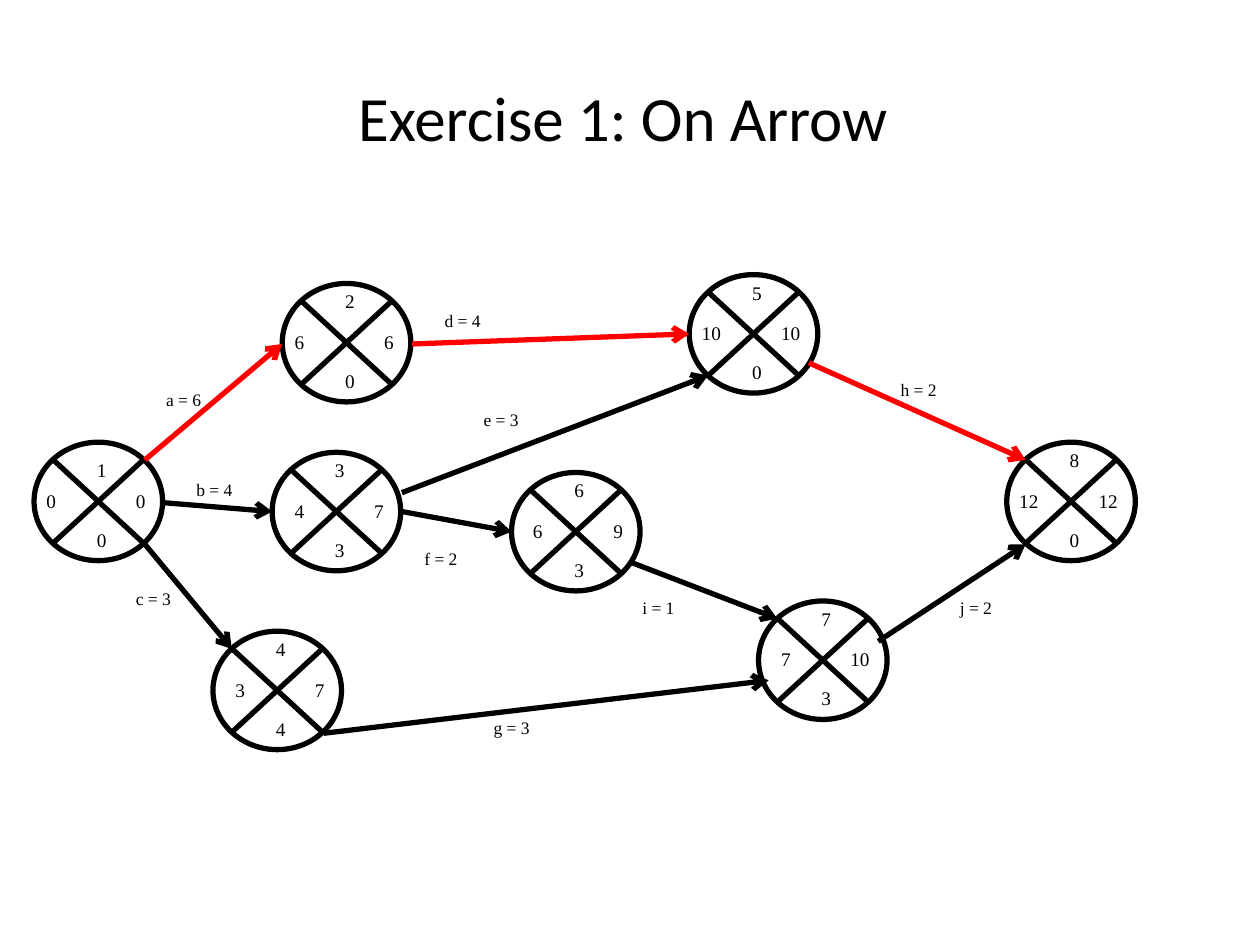
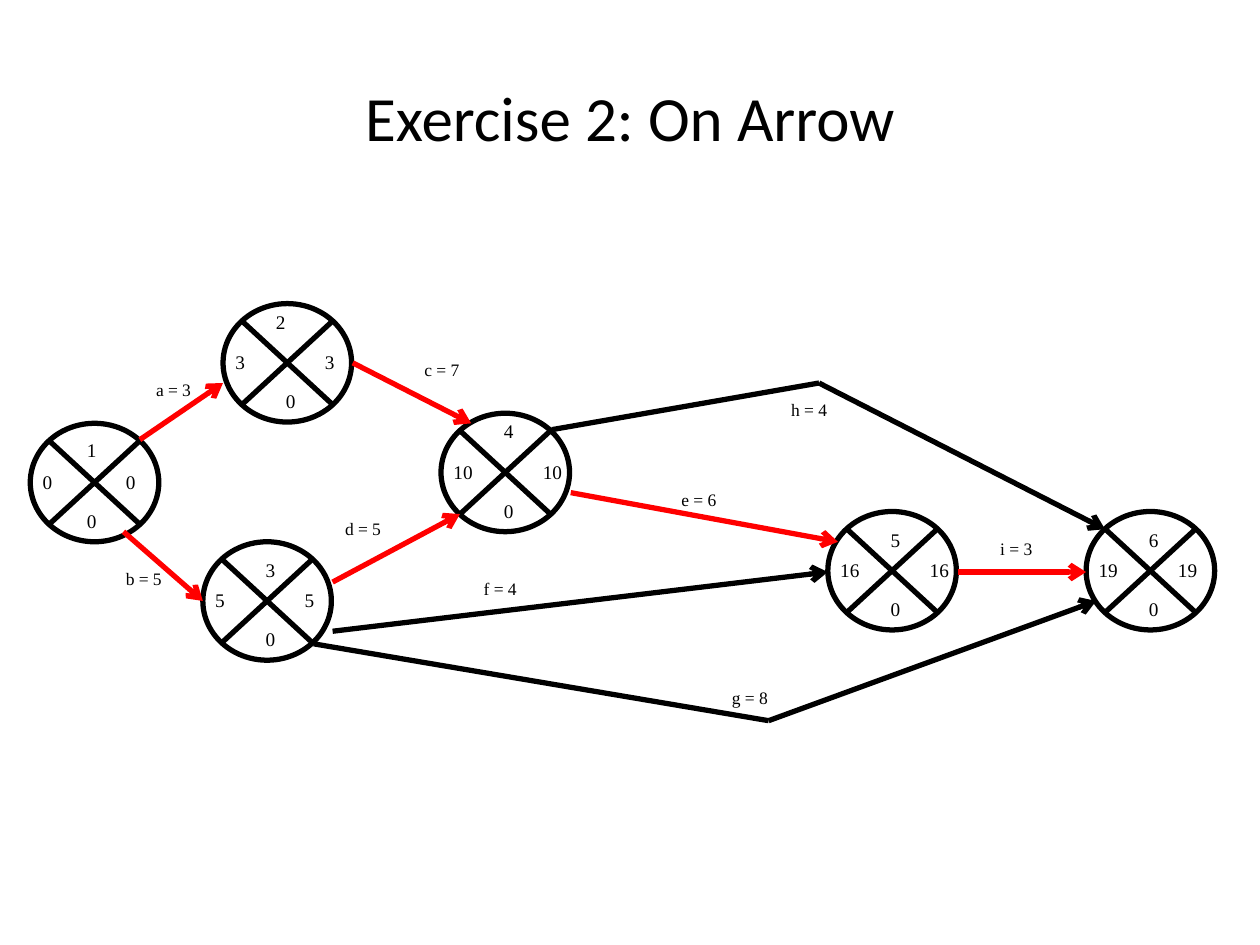
from dataclasses import dataclass
from itertools import pairwise

from pptx import Presentation
from pptx.dml.color import RGBColor
from pptx.enum.shapes import MSO_CONNECTOR, MSO_SHAPE
from pptx.enum.text import MSO_ANCHOR, MSO_AUTO_SIZE, PP_ALIGN
from pptx.oxml.ns import qn
from pptx.util import Inches, Pt
from lxml import etree

STRAIGHT = MSO_CONNECTOR.STRAIGHT
JUNCTION = MSO_SHAPE.FLOWCHART_SUMMING_JUNCTION
GROW = MSO_AUTO_SIZE.SHAPE_TO_FIT_TEXT
CENTER = PP_ALIGN.CENTER
MIDDLE = MSO_ANCHOR.MIDDLE

BLACK = RGBColor(0x00, 0x00, 0x00)
CRITICAL_RED = RGBColor(0xFF, 0x00, 0x00)
WHITE = RGBColor(0xFF, 0xFF, 0xFF)


@dataclass
class Event:
    """A node: its number, earliest and latest time, slack, and number offsets."""
    number: int
    left: float
    top: float
    earliest: int
    latest: int
    slack: int
    number_at: tuple = (0.4, 0)
    earliest_dx: float = 0
    latest_dx: float = 0.71
    slack_dx: float = 0.4


@dataclass
class Activity:
    label: str
    label_at: tuple
    route: list
    critical: bool = False


class NetworkDeck:
    title_font = "Calibri"
    diagram_font = "Times New Roman"
    line_width = Pt(3)

    def __init__(self):
        self.deck = Presentation()
        self.deck.slide_width, self.deck.slide_height = Inches(10), Inches(7.5)
        self.slide = None

    def add_slide(self, title):
        self.slide = self.deck.slides.add_slide(self.deck.slide_layouts[5])
        self.slide.background.fill.solid()
        self.slide.background.fill.fore_color.rgb = WHITE
        heading = self.slide.shapes.title
        heading.left, heading.top = Inches(0.5), Inches(0.3)
        heading.width, heading.height = Inches(9), Inches(1.25)
        frame = heading.text_frame
        frame.text = title
        frame.vertical_anchor = MIDDLE
        frame.paragraphs[0].alignment = CENTER
        self.format_text(frame, self.title_font, 36)

    def format_text(self, frame, font_name, size):
        font = frame.paragraphs[0].runs[0].font
        font.name, font.size = font_name, Pt(size)
        font.color.rgb = BLACK

    def label(self, text, left, top, width, height, size):
        box = self.slide.shapes.add_textbox(
            Inches(left), Inches(top), Inches(width), Inches(height))
        frame = box.text_frame
        frame.word_wrap = True
        frame.auto_size = GROW
        frame.text = text
        self.format_text(frame, self.diagram_font, size)

    def segment(self, start, end, color, arrow):
        line = self.slide.shapes.add_connector(
            STRAIGHT, *(Inches(value) for value in (*start, *end)))
        line.line.width = self.line_width
        line.line.color.rgb = color
        properties = line._element.spPr
        if arrow:
            outline = properties.find(qn("a:ln"))
            etree.SubElement(outline, qn("a:tailEnd"), type="arrow")
        etree.SubElement(properties, qn("a:effectLst"))

    def activity(self, activity):
        color = CRITICAL_RED if activity.critical else BLACK
        for start, end in pairwise(activity.route):
            self.segment(start, end, color, arrow=end == activity.route[-1])
        self.label(activity.label, *activity.label_at, 0.63, 0.27, 10)

    def event(self, event):
        circle = self.slide.shapes.add_shape(
            JUNCTION, Inches(event.left), Inches(event.top), Inches(1.02), Inches(0.94))
        circle.shadow.inherit = False
        circle.fill.background()
        circle.line.color.rgb = BLACK
        circle.line.width = self.line_width
        for value, dx, dy in (
            (event.number, *event.number_at),
            (event.earliest, event.earliest_dx, 0.32),
            (event.latest, event.latest_dx, 0.32),
            (event.slack, event.slack_dx, 0.63),
        ):
            width = 0.32 if value < 10 else 0.39
            self.label(str(value), event.left + dx, event.top + dy, width, 0.29, 11)

    def network(self, title, events, activities):
        self.add_slide(title)
        for event in events:
            self.event(event)
        for activity in activities:
            self.activity(activity)


EXERCISE_1_EVENTS = [
    Event(1, 0.27, 3.51, 0, 0, 0, number_at=(0.4, 0.08)),
    Event(2, 2.24, 2.25, 6, 6, 0),
    Event(3, 2.16, 3.59, 4, 7, 3, earliest_dx=0.08),
    Event(4, 1.69, 5.01, 3, 7, 4, earliest_dx=0.08),
    Event(5, 5.47, 2.18, 10, 10, 0, latest_dx=0.63),
    Event(6, 4.06, 3.75, 6, 9, 3, earliest_dx=0.07),
    Event(7, 6.02, 4.77, 7, 10, 3, earliest_dx=0.08, latest_dx=0.63),
    Event(8, 7.99, 3.51, 12, 12, 0, latest_dx=0.63),
]
EXERCISE_1_ACTIVITIES = [
    Activity("a = 6", (1.22, 3.04), [(1.15, 3.65), (2.24, 2.73)], critical=True),
    Activity("b = 4", (1.46, 3.75), [(1.3, 3.99), (2.16, 4.06)]),
    Activity("c = 3", (0.98, 4.62), [(1.15, 4.32), (1.84, 5.15)]),
    Activity("d = 4", (3.43, 2.41), [(3.27, 2.73), (5.47, 2.65)], critical=True),
    Activity("e = 3", (3.74, 3.2), [(3.19, 3.91), (5.62, 2.98)]),
    Activity("f = 2", (3.27, 4.3), [(3.19, 4.06), (4.06, 4.22)]),
    Activity("g = 3", (3.82, 5.64), [(2.57, 5.82), (6.1, 5.4)]),
    Activity("h = 2", (7.05, 2.96), [(6.42, 2.88), (8.14, 3.65)], critical=True),
    Activity("i = 1", (5, 4.69), [(5, 4.46), (6.17, 4.91)]),
    Activity("j = 2", (7.52, 4.69), [(6.97, 5.09), (8.14, 4.32)]),
]

EXERCISE_2_EVENTS = [
    Event(1, 0.24, 3.36, 0, 0, 0, number_at=(0.35, 0.07), latest_dx=0.66, slack_dx=0.35),
    Event(2, 1.77, 2.41, 3, 3, 0, number_at=(0.32, 0)),
    Event(3, 1.61, 4.3, 5, 5, 0, number_at=(0.4, 0.08)),
    Event(4, 3.5, 3.28, 10, 10, 0),
    Event(5, 6.57, 4.06, 16, 16, 0, number_at=(0.4, 0.08)),
    Event(6, 8.62, 4.06, 19, 19, 0, number_at=(0.4, 0.08), latest_dx=0.63),
]
EXERCISE_2_ACTIVITIES = [
    Activity("a = 3", (1.14, 2.96), [(1.11, 3.49), (1.77, 3.04)], critical=True),
    Activity("b = 5", (0.9, 4.46), [(0.98, 4.22), (1.61, 4.77)], critical=True),
    Activity("c = 7", (3.27, 2.8), [(2.8, 2.88), (3.74, 3.36)], critical=True),
    Activity("d = 5", (2.64, 4.06), [(2.64, 4.62), (3.65, 4.08)], critical=True),
    Activity("e = 6", (5.31, 3.83), [(4.53, 3.91), (6.65, 4.3)], critical=True),
    Activity("f = 4", (3.74, 4.54), [(2.64, 5.01), (6.57, 4.54)]),
    Activity("g = 8", (5.71, 5.4), [(2.49, 5.11), (6.1, 5.72), (8.7, 4.77)]),
    Activity("h = 4", (6.18, 3.12), [(4.38, 3.41), (6.5, 3.04), (8.77, 4.2)]),
    Activity("i = 3", (7.84, 4.22), [(7.6, 4.54), (8.62, 4.54)], critical=True),
]


def main():
    network_deck = NetworkDeck()
    network_deck.network("Exercise 1: On Arrow ", EXERCISE_1_EVENTS, EXERCISE_1_ACTIVITIES)
    network_deck.network("Exercise 2: On Arrow", EXERCISE_2_EVENTS, EXERCISE_2_ACTIVITIES)
    network_deck.deck.save("out.pptx")


if __name__ == "__main__":
    main()
